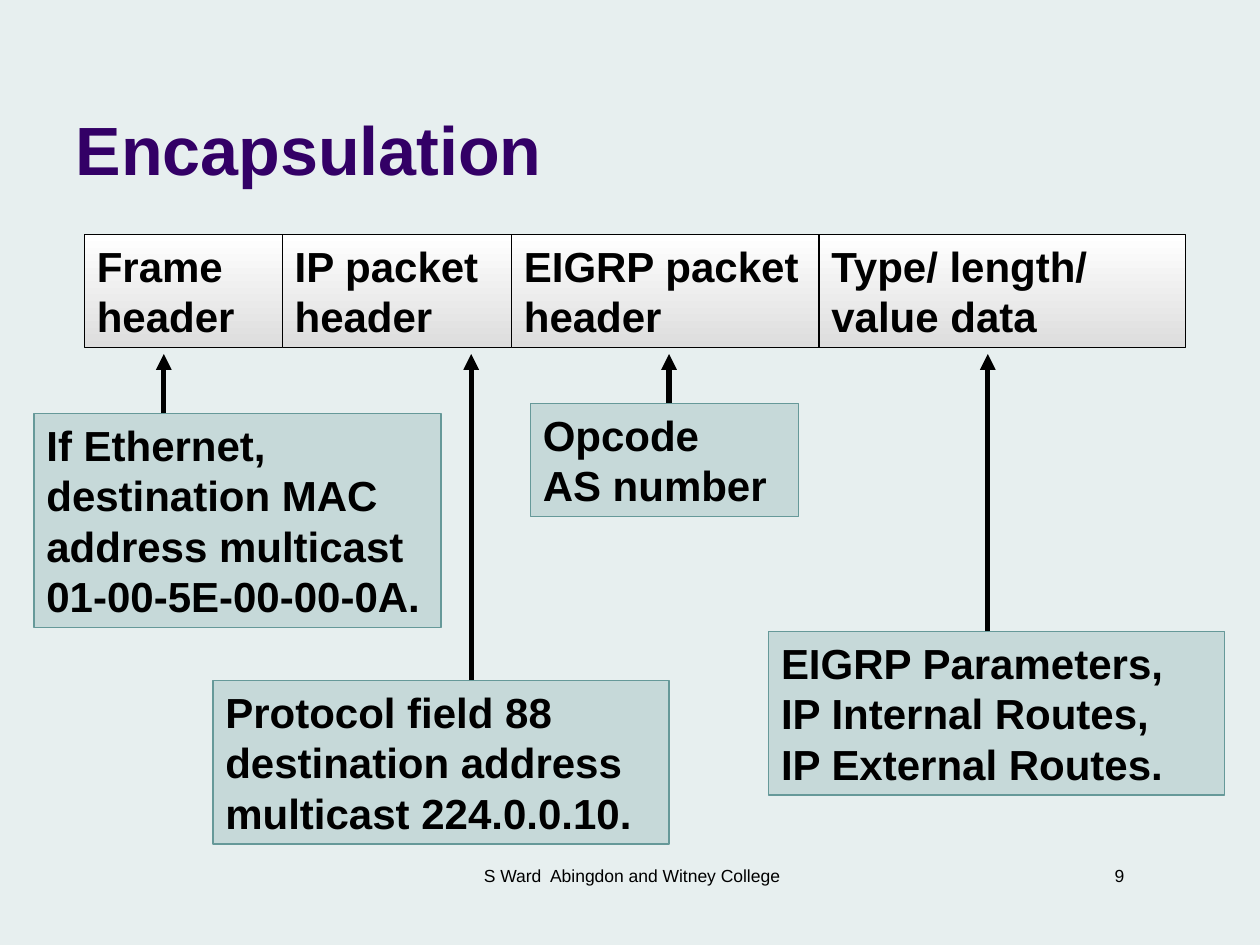
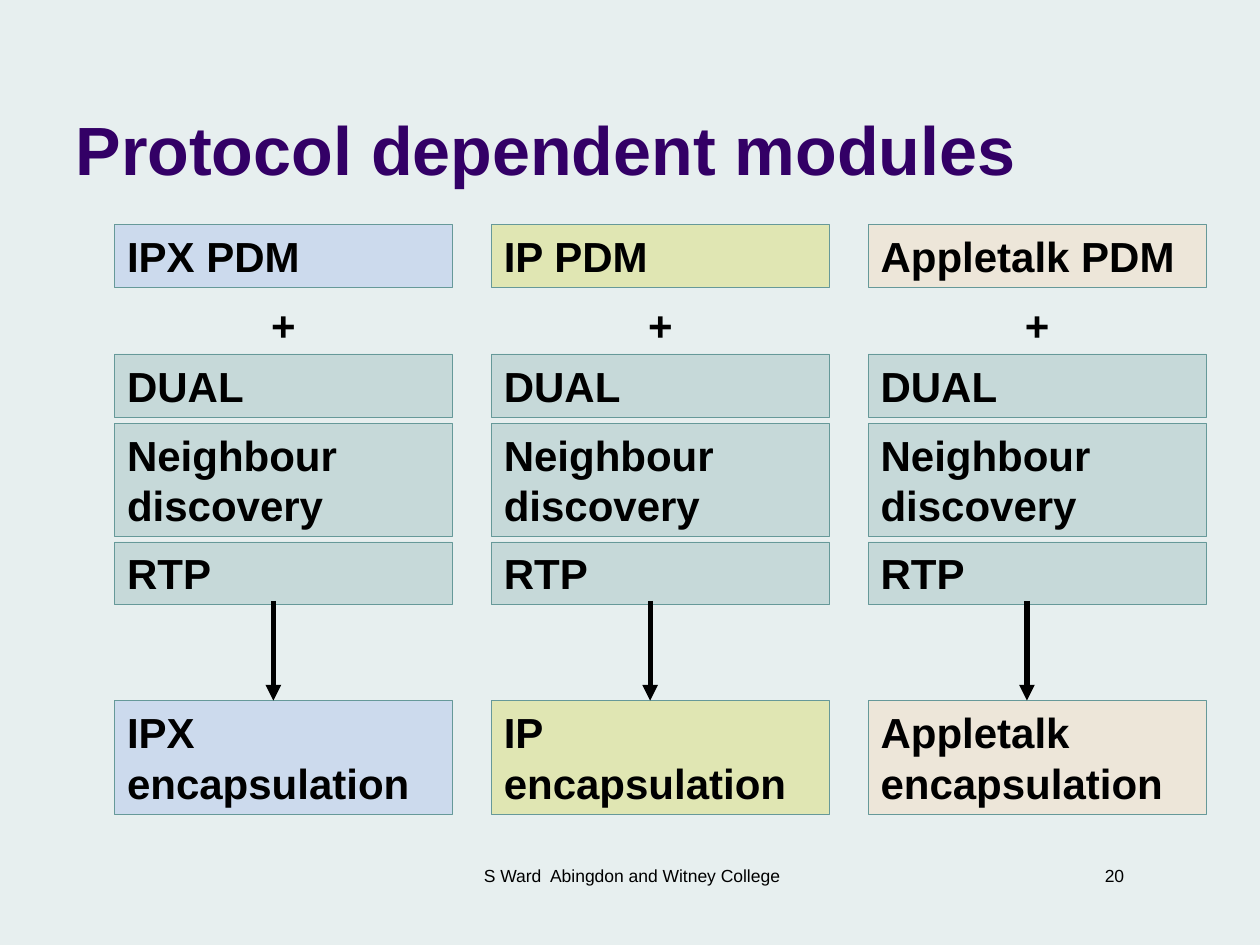
from dataclasses import dataclass
from lxml.etree import SubElement
from pptx import Presentation
from pptx.dml.color import RGBColor
from pptx.enum.shapes import MSO_CONNECTOR as Connector, MSO_SHAPE as Shape
from pptx.enum.text import MSO_ANCHOR as Anchor, MSO_AUTO_SIZE as AutoSize, PP_ALIGN as Align
from pptx.oxml.ns import qn
from pptx.util import Inches, Pt


@dataclass(frozen=True)
class Theme:
    font: str = "Arial"
    background: str = "E7EFEF"
    title: str = "330066"
    ink: str = "000000"
    teal: str = "669999"
    blue: str = "7E9CE8"
    lime: str = "CCCC00"
    peach: str = "FFCC99"
    gradient: tuple = ("FFFFFF", "DDDDDD")
    tint_alpha: str = "25000"
    title_size: int = 39
    body_size: int = 24
    footer_size: int = 10


theme = Theme()


def add_box(slide, text, area, fill=None, line_width=0.75, align=Align.LEFT, size=theme.body_size, bold=True):
    area = [Inches(length) for length in area]
    if fill is None:
        shape = slide.shapes.add_textbox(*area)
    else:
        shape = slide.shapes.add_shape(Shape.RECTANGLE, *area)
        shape.shadow.inherit = False
        shape.line.width = Pt(line_width)
        if fill == theme.gradient:
            shape.fill.gradient()
            shape.fill.gradient_angle = 270
            for stop, color in zip(shape.fill.gradient_stops, fill):
                stop.color.rgb = RGBColor.from_string(color)
            shape.line.color.rgb = RGBColor.from_string(theme.ink)
        else:
            shape.fill.solid()
            shape.fill.fore_color.rgb = RGBColor.from_string(fill)
            color = shape._element.spPr.find(qn("a:solidFill")).find(qn("a:srgbClr"))
            SubElement(color, qn("a:alpha"), val=theme.tint_alpha)
            shape.line.color.rgb = RGBColor.from_string(theme.teal)
    frame = shape.text_frame
    frame.word_wrap = True
    frame.vertical_anchor = Anchor.TOP
    paragraph = frame.paragraphs[0]
    paragraph.alignment = align
    for index, line in enumerate(text.split("\n")):
        if index:
            paragraph.add_line_break()
        run = paragraph.add_run()
        run.text = line
        run.font.name = theme.font
        run.font.size = Pt(size)
        run.font.bold = bold
        run.font.color.rgb = RGBColor.from_string(theme.ink)


def add_arrow(slide, x, start, end):
    arrow = slide.shapes.add_connector(Connector.STRAIGHT, Inches(x), Inches(start), Inches(x), Inches(end))
    arrow.line.width = Pt(3)
    arrow.line.color.rgb = RGBColor.from_string(theme.ink)
    SubElement(arrow.line._get_or_add_ln(), qn("a:tailEnd"), type="triangle")
    SubElement(arrow._element.spPr, qn("a:effectLst"))


presentation = Presentation()
presentation.slide_width = Inches(10)
presentation.slide_height = Inches(7.5)
background = presentation.slide_master.background.fill
background.solid()
background.fore_color.rgb = RGBColor.from_string(theme.background)

slides = []
for heading, number in [("Encapsulation", "9"), ("Protocol dependent modules", "20")]:
    slide = presentation.slides.add_slide(presentation.slide_layouts[5])
    slides.append(slide)
    title = slide.shapes.title
    title.left, title.top = Inches(0.5), Inches(0.13)
    title.width, title.height = Inches(8.25), Inches(1.42)
    title.text_frame.auto_size = AutoSize.NONE
    title.text_frame.vertical_anchor = Anchor.BOTTOM
    paragraph = title.text_frame.paragraphs[0]
    paragraph.alignment = Align.LEFT
    run = paragraph.add_run()
    run.text = heading
    run.font.name = theme.font
    run.font.size = Pt(theme.title_size)
    run.font.bold = True
    run.font.color.rgb = RGBColor.from_string(theme.title)
    add_box(slide, number, (6.97, 6.82, 2.05, 0.27), align=Align.RIGHT, size=theme.footer_size, bold=False)
    add_box(slide, "S Ward  Abingdon and Witney College", (3.43, 6.82, 3.17, 0.5),
            align=Align.CENTER, size=theme.footer_size, bold=False)

encapsulation, modules = slides

packet_fields = [
    ("Frame header", 1.57),
    ("IP packet header", 1.82),
    ("EIGRP packet header", 2.44),
    ("Type/ length/ value data", 2.91),
]
field_left = 0.67
for text, width in packet_fields:
    add_box(encapsulation, text, (field_left, 1.86, width, 0.9), theme.gradient)
    field_left += width

field_notes = [
    ("EIGRP Parameters,\nIP Internal Routes,\nIP External Routes.", (6.1, 5.01, 3.62, 1.3), 7.84),
    ("Opcode\nAS number", (4.21, 3.2, 2.13, 0.9), 5.31),
    ("Protocol field 88\ndestination address multicast 224.0.0.10.", (1.69, 5.4, 3.62, 1.3), 3.74),
    ("If Ethernet, destination MAC address multicast\n01-00-5E-00-00-0A.", (0.27, 3.28, 3.23, 1.7), 1.3),
]
for text, area, arrow_x in field_notes:
    add_box(encapsulation, text, area, theme.teal)
    add_arrow(encapsulation, arrow_x, area[1], 2.81)

column_width = 2.68
column_pitch = 2.99
protocols = [
    ("IPX", "IPX encapsulation", theme.blue),
    ("IP", "IP encapsulation", theme.lime),
    ("Appletalk", "Appletalk\nencapsulation", theme.peach),
]
shared_parts = [("DUAL", 2.81, 0.5), ("Neighbour discovery", 3.36, 0.9), ("RTP", 4.3, 0.5)]
for column, (protocol, result, color) in enumerate(protocols):
    left = 0.91 + column * column_pitch
    add_box(modules, f"{protocol} PDM", (left, 1.78, column_width, 0.5), color, 0.25)
    add_box(modules, "+", (left, 2.33, column_width, 0.5), align=Align.CENTER)
    for text, top, height in shared_parts:
        add_box(modules, text, (left, top, column_width, height), theme.teal, 0.25)
    add_box(modules, result, (left, 5.56, column_width, 0.9), color, 0.25)
    add_arrow(modules, left + 1.26, 4.77, 5.56)

presentation.save("out.pptx")
